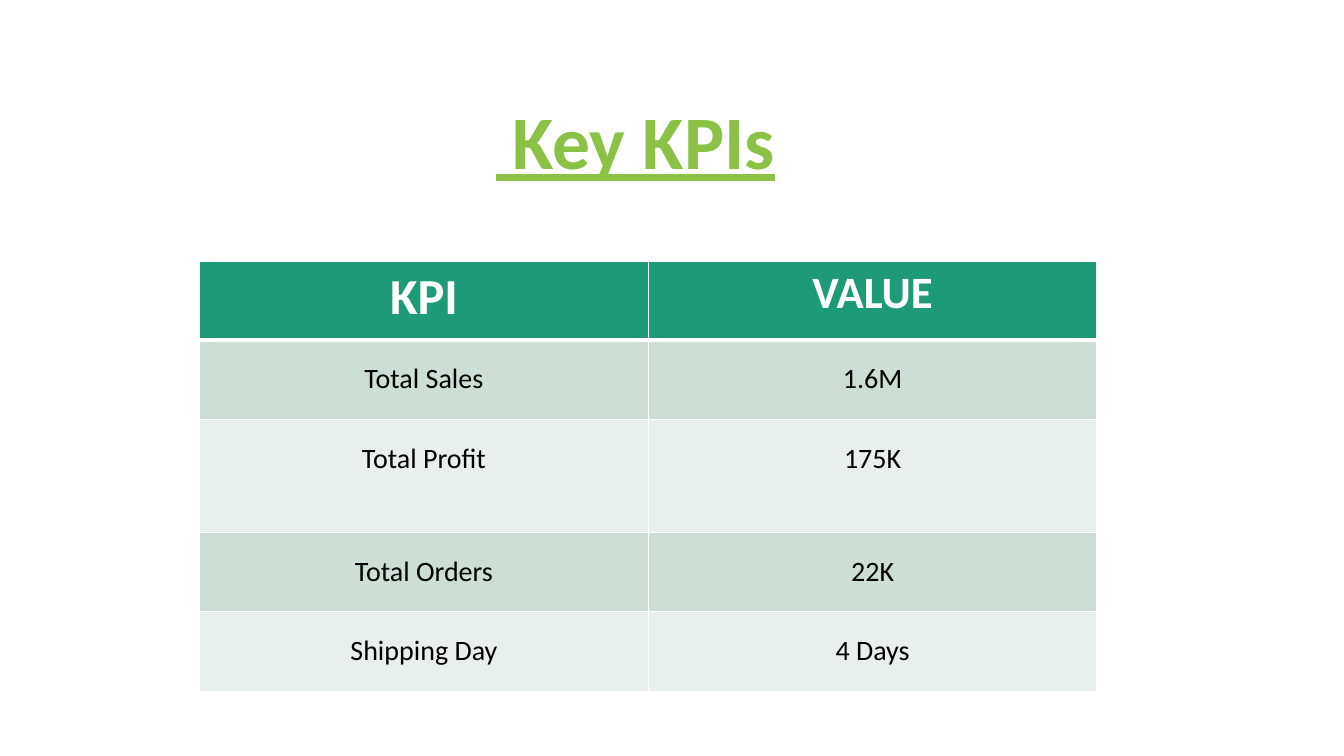
from lxml.etree import SubElement
from pptx import Presentation
from pptx.dml.color import RGBColor
from pptx.enum.text import MSO_ANCHOR, PP_ALIGN
from pptx.oxml.ns import qn
from pptx.util import Inches, Pt


def color(value):
    return RGBColor.from_string(value)


def write(para, text, size, shade, bold):
    para.alignment = PP_ALIGN.CENTER
    span = para.add_run()
    span.text = text
    span.font.name = "Calibri"
    span.font.size = Pt(size)
    span.font.bold = bold
    span.font.color.rgb = color(shade)
    return span


deck = Presentation()
deck.slide_width = Inches(13.33)
deck.slide_height = Inches(7.5)
page = deck.slides.add_slide(deck.slide_layouts[6])

title = page.shapes.add_textbox(Inches(3.85), Inches(0.82), Inches(4.9), Inches(1.13))
title.text_frame.word_wrap = True
title.text_frame.vertical_anchor = MSO_ANCHOR.MIDDLE
title_para = title.text_frame.paragraphs[0]
title_para.space_before = Pt(10)
write(title_para, " Key KPIs", 54, "8BC145", True).font.underline = True

kpis = [
    ("KPI", "VALUE"),
    ("Total Sales", "1.6M"),
    ("Total Profit", "175K"),
    ("Total Orders", "22K"),
    ("Shipping Day", "4 Days"),
]
row_heights = [0.78, 0.79, 1.12, 0.79, 0.79]
header_sizes = [36, 32]
band_fills = ["E8EFEC", "CDDED6"]

table = page.shapes.add_table(
    len(kpis), 2, Inches(1.98), Inches(2.59), Inches(8.9), Inches(sum(row_heights))
).table
for column in table.columns:
    column.width = Inches(4.45)

for row, (texts, height) in enumerate(zip(kpis, row_heights)):
    table.rows[row].height = Inches(height)
    header = row == 0
    for column, text in enumerate(texts):
        cell = table.cell(row, column)
        para = cell.text_frame.paragraphs[0]
        if header:
            write(para, text, header_sizes[column], "FFFFFF", True)
        else:
            para.line_spacing = 1.5
            write(para, text, 20, "000000", False)

        properties = cell._tc.get_or_add_tcPr()
        for side in ("L", "R", "T", "B"):
            thick = (header and side == "B") or (row == 1 and side == "T")
            border = SubElement(properties, qn(f"a:ln{side}"), w=str(Pt(3 if thick else 1)))
            border_fill = SubElement(border, qn("a:solidFill"))
            SubElement(border_fill, qn("a:srgbClr"), val="FFFFFF")
        cell.fill.solid()
        cell.fill.fore_color.rgb = color("1D9A78" if header else band_fills[row % 2])

deck.save("out.pptx")
